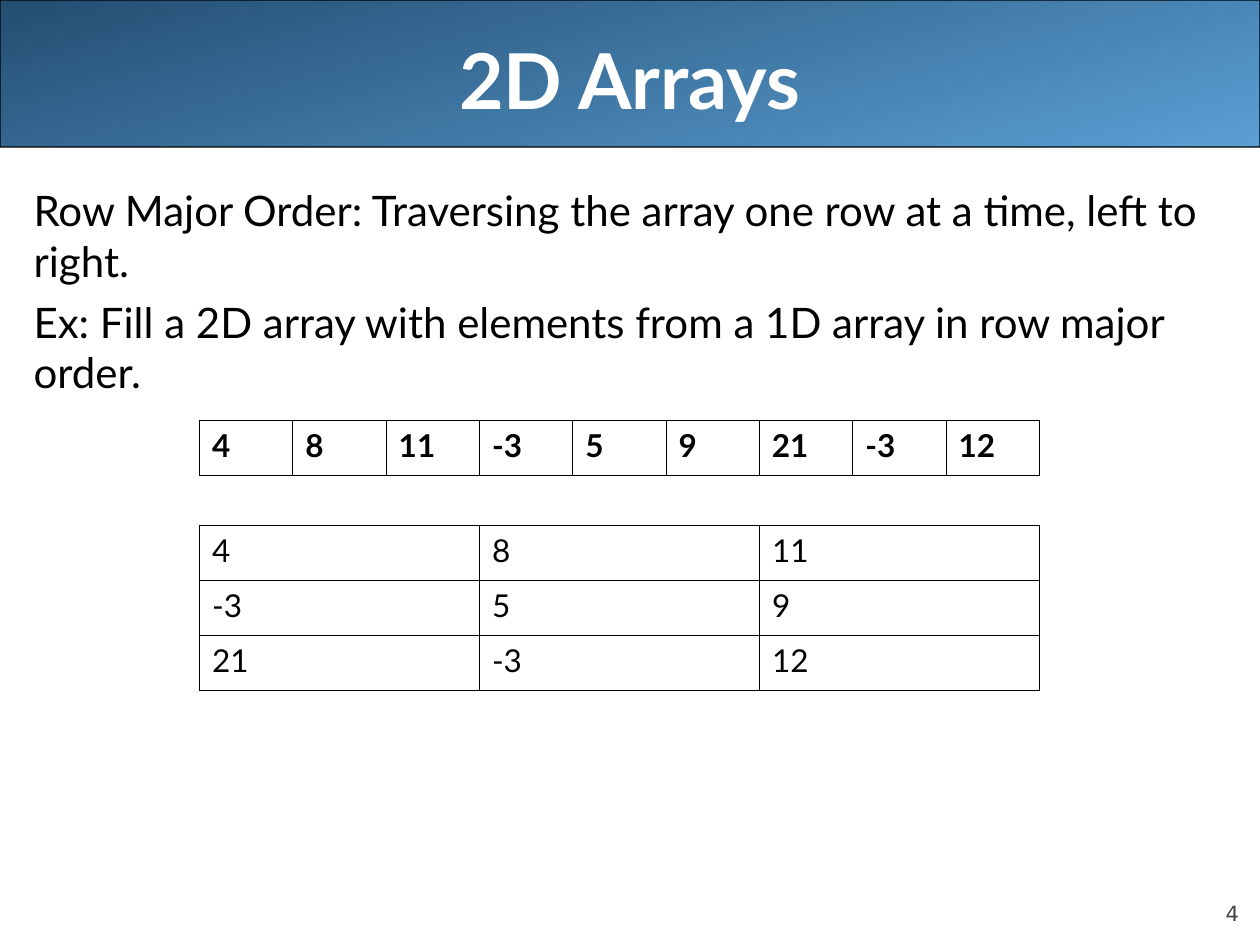
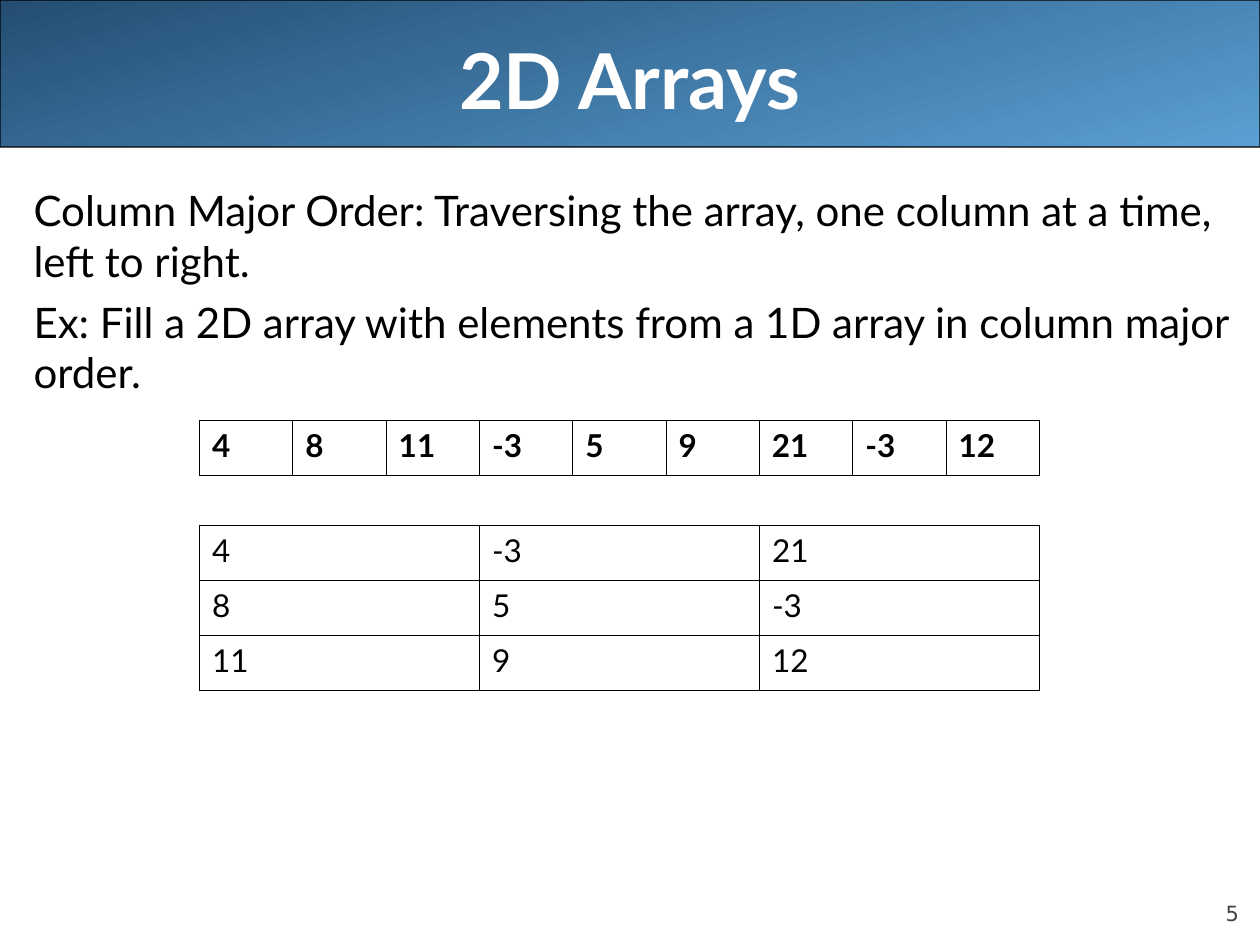
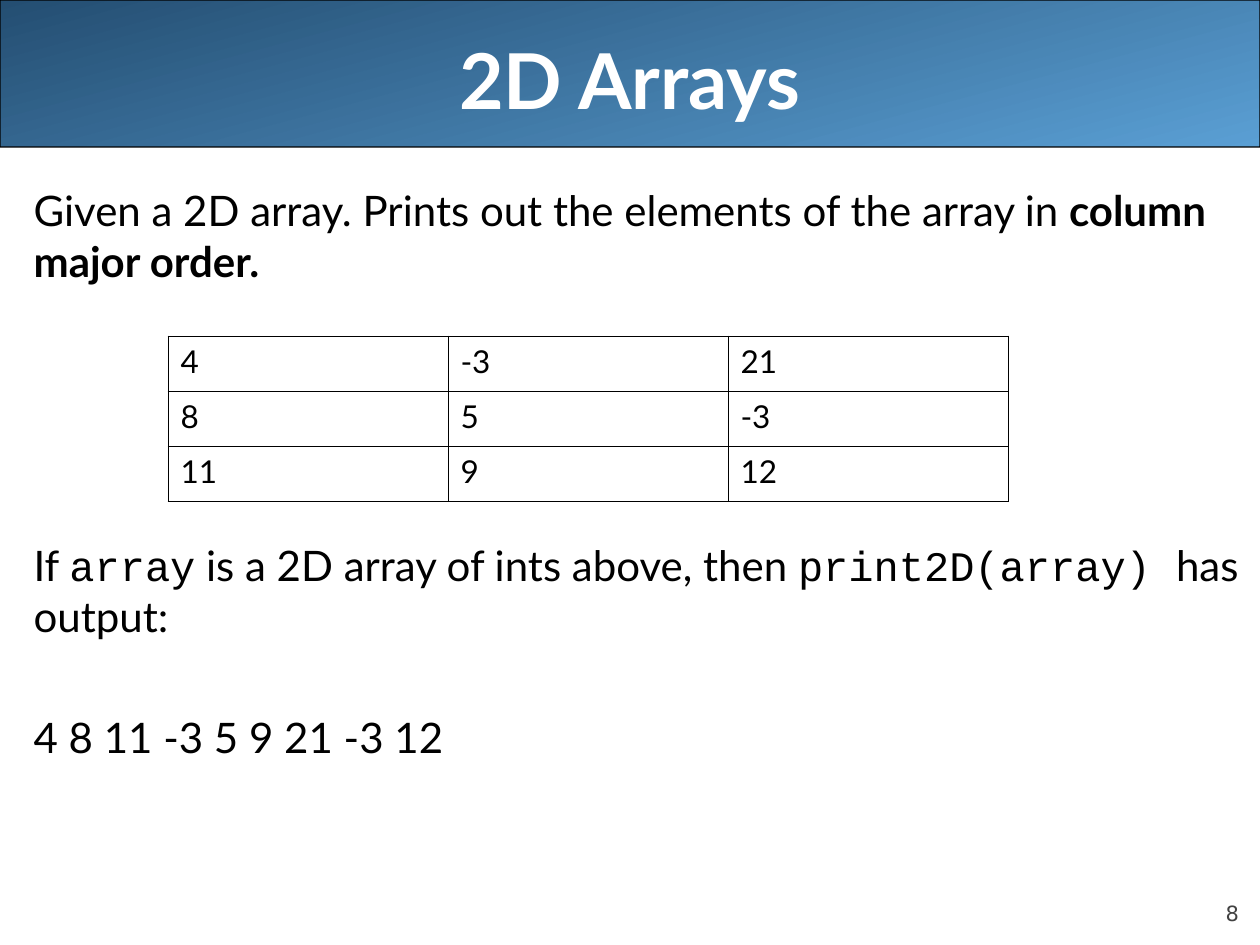
from lxml import etree
from pptx import Presentation
from pptx.dml.color import RGBColor
from pptx.enum.shapes import MSO_SHAPE
from pptx.enum.text import MSO_ANCHOR, MSO_AUTO_SIZE, PP_ALIGN
from pptx.oxml.ns import qn
from pptx.util import Pt

COLORS = {"text": "000000", "title": "FFFFFF", "number": "424242", "line": "000000",
          "band_light": "5A9FD4", "band_dark": "244E72"}
FONT, CODE_FONT, NUMBER_FONT = "Lato", "Courier New", "DejaVu Sans"

TITLE = "2D Arrays"
VALUES = ["4", "8", "11", "-3", "5", "9", "21", "-3", "12"]
BY_ROW = [VALUES[start:start + 3] for start in range(0, 9, 3)]
BY_COLUMN = [VALUES[start::3] for start in range(3)]

SPACE_BEFORE = 6
LINE_STEP = 28.8 + SPACE_BEFORE  # one 24 pt line with the space before it

# A paragraph is (space before, [(text, style), ...]); a table is (left, top, rows, bold).
ARRAY_1D = (114, 240, [VALUES], True)
SLIDES = [
    {"number": "4",
     "body": [
         (SPACE_BEFORE, [("Row Major Order: Traversing the array one row at a time, "
                          "left to right.", "plain")]),
         (SPACE_BEFORE, [("Ex: Fill a 2D array with elements from a 1D array in row "
                          "major order.", "plain")])],
     "tables": [ARRAY_1D, (114, 300, BY_ROW, False)]},
    {"number": "5",
     "body": [
         (SPACE_BEFORE, [("Column Major Order: Traversing the array, one column at a "
                          "time, left to right.", "plain")]),
         (SPACE_BEFORE, [("Ex: Fill a 2D array with elements from a 1D array in column "
                          "major order.", "plain")])],
     "tables": [ARRAY_1D, (114, 300, BY_COLUMN, False)]},
    {"number": "8",
     "body": [
         (SPACE_BEFORE, [("Given a 2D array. Prints out the elements of the array in ",
                          "plain"),
                         ("column major order.", "bold")]),
         (SPACE_BEFORE + 4 * LINE_STEP, [("If ", "plain"), ("array", "code"),
                                         (" is a 2D array of ints above, then ", "plain"),
                                         ("print2D(array) ", "code"),
                                         ("has output:", "plain")]),
         (SPACE_BEFORE + LINE_STEP, [(" ".join(VALUES), "plain")])],
     "tables": [(96, 192, BY_COLUMN, False)]},
]

SLIDE_SIZE = (720, 540)
BAND_HEIGHT = 84
TITLE_BOX = (36, 0, 648, 90)
BODY_BOX = (12, 102, 708, 408)
NUMBER_BOX = (648, 500.4, 60, 28.8)
TABLE_WIDTH, ROW_HEIGHT, BORDER = 480, 31.6, 0.45


def rgb(name):
    return RGBColor.from_string(COLORS[name])


def add_run(paragraph, text, size, color="text", font=FONT, bold=False):
    run = paragraph.add_run()
    run.text = text
    run.font.size = Pt(size)
    run.font.name = font
    run.font.bold = bold
    run.font.color.rgb = rgb(color)


def place(shape, box):
    shape.left, shape.top, shape.width, shape.height = map(Pt, box)


def add_band(slide, layout):
    """Draw the gradient band and move it to the back of the layout."""
    band = slide.shapes.add_shape(MSO_SHAPE.ROUNDED_RECTANGLE, 0, 0,
                                  Pt(SLIDE_SIZE[0]), Pt(BAND_HEIGHT))
    band.adjustments[0] = 0.001
    band.shadow.inherit = False
    band.fill.gradient()
    band.fill.gradient_angle = 105
    for stop, color in zip(band.fill.gradient_stops, ("band_light", "band_dark")):
        stop.color.rgb = rgb(color)
    band.line.color.rgb = rgb("line")
    band.line.width = Pt(0.75)
    band.element.nvSpPr.cNvPr.set("id", "20")
    layout.shapes.element.insert(2, band.element)


def add_title(slide):
    frame = slide.shapes.title.text_frame
    frame.vertical_anchor = MSO_ANCHOR.MIDDLE
    frame.auto_size = MSO_AUTO_SIZE.NONE
    frame.paragraphs[0].alignment = PP_ALIGN.CENTER
    add_run(frame.paragraphs[0], TITLE, 44, "title", bold=True)


def add_body(slide, paragraphs):
    frame = slide.placeholders[1].text_frame
    frame.auto_size = MSO_AUTO_SIZE.NONE
    for index, (space_before, runs) in enumerate(paragraphs):
        paragraph = frame.add_paragraph() if index else frame.paragraphs[0]
        paragraph.space_before = Pt(space_before)
        properties = paragraph._p.get_or_add_pPr()
        properties.set("marL", "0")
        properties.set("indent", "0")
        etree.SubElement(properties, qn("a:buNone"))
        for text, style in runs:
            add_run(paragraph, text, 24, font=CODE_FONT if style == "code" else FONT,
                    bold=style == "bold")


def add_number(slide, number):
    box = slide.shapes.add_textbox(*map(Pt, NUMBER_BOX))
    frame = box.text_frame
    frame.word_wrap = True
    frame.vertical_anchor = MSO_ANCHOR.BOTTOM
    frame.margin_left = frame.margin_top = frame.margin_right = frame.margin_bottom = 0
    paragraph = frame.paragraphs[0]
    paragraph.alignment = PP_ALIGN.RIGHT
    paragraph.space_before = Pt(5)
    add_run(paragraph, number, 12, "number", NUMBER_FONT)


def add_borders(cell):
    properties = cell._tc.get_or_add_tcPr()
    for side in ("a:lnL", "a:lnR", "a:lnT", "a:lnB"):
        line = etree.SubElement(properties, qn(side), w=str(Pt(BORDER)))
        fill = etree.SubElement(line, qn("a:solidFill"))
        etree.SubElement(fill, qn("a:srgbClr"), val=COLORS["line"])


def add_array(slide, left, top, rows, bold):
    columns = len(rows[0])
    table = slide.shapes.add_table(len(rows), columns, Pt(left), Pt(top), Pt(TABLE_WIDTH),
                                   Pt(ROW_HEIGHT * len(rows))).table
    table.first_row = table.horz_banding = False
    for column in table.columns:
        column.width = Pt(TABLE_WIDTH / columns)
    for row_index, row in enumerate(rows):
        for column_index, value in enumerate(row):
            cell = table.cell(row_index, column_index)
            add_borders(cell)
            cell.fill.background()
            add_run(cell.text_frame.paragraphs[0], value, 18, bold=bold)


def main():
    presentation = Presentation()
    presentation.slide_width, presentation.slide_height = map(Pt, SLIDE_SIZE)
    layout = presentation.slide_layouts[1]
    place(layout.placeholders[0], TITLE_BOX)
    place(layout.placeholders[1], BODY_BOX)
    for index, content in enumerate(SLIDES):
        slide = presentation.slides.add_slide(layout)
        if index == 0:
            add_band(slide, layout)
        add_title(slide)
        add_body(slide, content["body"])
        add_number(slide, content["number"])
        for table in content["tables"]:
            add_array(slide, *table)
    presentation.save("out.pptx")


if __name__ == "__main__":
    main()
